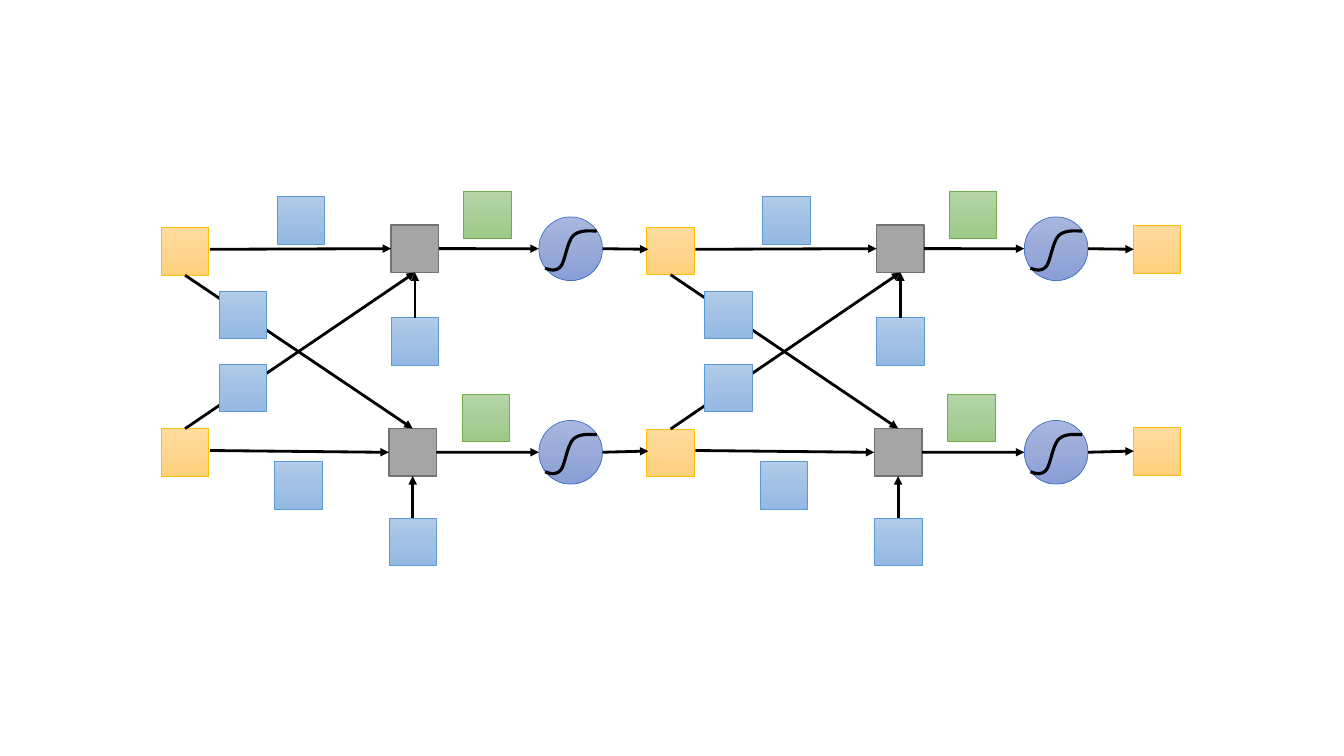
import copy
from dataclasses import dataclass

import lxml.etree
import pptx
import pptx.dml.color
import pptx.enum.shapes
import pptx.oxml
import pptx.oxml.ns
import pptx.util

Pt = pptx.util.Pt
RGBColor = pptx.dml.color.RGBColor
SHAPE = pptx.enum.shapes.MSO_SHAPE
STRAIGHT = pptx.enum.shapes.MSO_CONNECTOR.STRAIGHT
TOP, LEFT, BOTTOM, RIGHT = range(4)


@dataclass(frozen=True)
class Theme:
    """Colours as (fill stops, outline), and line widths in points."""
    value: tuple = (("FFDB9E", "FFD590", "FFD07C"), "FFC000")
    weight: tuple = (("B1CBE9", "A3C1E5", "93B9E4"), "5B9BD5")
    total: tuple = (("A5A5A5",), "767171")
    result: tuple = (("B5D5A7", "AACE9A", "9CC987"), "70AD47")
    activation: tuple = (("A8B7DF", "9AABD9", "889ED7"), "4472C4")
    ink: str = "000000"
    thin: float = 0.5
    solid: float = 1
    arrow: float = 2
    curve: float = 2.25


THEME = Theme()
NODE = 34
CIRCLE = 45.5
NETWORK_LEFT, NETWORK_TOP = 115.2, 136.2
LAYER_PITCH = 346.75
VALUE_COLUMNS = ((0, 26.4, 170), (0, 26, 170.3), (0.6, 24.9, 169.1))
VALUE_EXIT, VALUE_ENTRY = 34.8, 1.2
ROW_EXITS, ROW_ENTRIES = (41.9, 185.6), (41.9, 186)
TOTALS = ((164.2, 24.4), (162.6, 169.9))
RESULTS = ((216.1, 0.3), (214.9, 145.4))
CIRCLE_LEFT, CIRCLE_TOPS = 269.7, (18.7, 164.1)
BIAS_TOPS = (90.6, 233.9)
WEIGHTS = ((82.7, 4.2), (41.2, 71.8), (41.2, 123.9), (81.1, 193.5))
SIGMOID = (
    (41.4, 10.2), (35.3, 9.9), (28.8, 9.4), (24.5, 13.5), (20.2, 18),
    (18.7, 31.7), (15.8, 35.3), (12.2, 39.3), (8.6, 38.2), (4.5, 36.7),
)


def paint(shape, style):
    """Give a shape its flat or downward gradient fill and its outline."""
    stops, outline = style
    shape.shadow.inherit = False
    if len(stops) == 1:
        shape.fill.solid()
        shape.fill.fore_color.rgb = RGBColor.from_string(stops[0])
    else:
        shape.fill.gradient()
        shape.fill.gradient_angle = 270
        stop_list = shape._element.spPr.find(".//" + pptx.oxml.ns.qn("a:gsLst"))
        stop_list.insert(1, copy.deepcopy(stop_list[0]))
        for index, (stop, colour) in enumerate(zip(shape.fill.gradient_stops, stops)):
            stop.position = index / 2
            stop.color.rgb = RGBColor.from_string(colour)
    shape.line.color.rgb = RGBColor.from_string(outline)
    shape.line.width = Pt(THEME.solid if len(stops) == 1 else THEME.thin)


def add_node(slide, left, top, style):
    """Draw one square node."""
    shape = slide.shapes.add_shape(SHAPE.RECTANGLE, Pt(left), Pt(top), Pt(NODE), Pt(NODE))
    paint(shape, style)
    return shape


def side_point(shape, side):
    """Return the middle of one side of a shape."""
    across = {LEFT: 0, RIGHT: shape.width}.get(side, shape.width // 2)
    down = {TOP: 0, BOTTOM: shape.height}.get(side, shape.height // 2)
    return shape.left + across, shape.top + down


def add_arrow(slide, start, end):
    """Draw an arrow between two points."""
    arrow = slide.shapes.add_connector(STRAIGHT, *start, *end)
    arrow.line.color.rgb = RGBColor.from_string(THEME.ink)
    arrow.line.width = Pt(THEME.arrow)
    namespace = pptx.oxml.ns.nsdecls("a")
    arrow.line._get_or_add_ln().append(
        pptx.oxml.parse_xml(f'<a:tailEnd {namespace} type="triangle"/>'))
    arrow._element.spPr.append(pptx.oxml.parse_xml(f"<a:effectLst {namespace}/>"))
    return arrow


def join_nodes(slide, start, start_side, end, end_side):
    """Draw an arrow joined to the sides of two square nodes."""
    arrow = add_arrow(slide, side_point(start, start_side), side_point(end, end_side))
    arrow.begin_connect(start, start_side)
    arrow.end_connect(end, end_side)


def add_activation(slide, left, top):
    """Draw the activation circle with its sigmoid curve."""
    circle = slide.shapes.add_shape(SHAPE.OVAL, Pt(left), Pt(top), Pt(CIRCLE), Pt(CIRCLE))
    paint(circle, THEME.activation)
    points = [(Pt(left + x), Pt(top + y)) for x, y in SIGMOID]
    builder = slide.shapes.build_freeform(*points[0], scale=1.0)
    builder.add_line_segments(points[1:], close=False)
    curve = builder.convert_to_shape()
    outline = curve._element.spPr.find(".//" + pptx.oxml.ns.qn("a:path"))
    segments = outline.findall(pptx.oxml.ns.qn("a:lnTo"))
    for first in range(0, len(segments), 3):
        cubic = lxml.etree.SubElement(outline, pptx.oxml.ns.qn("a:cubicBezTo"))
        for segment in segments[first:first + 3]:
            cubic.append(segment[0])
            outline.remove(segment)
    curve.shadow.inherit = False
    curve.fill.background()
    curve.line.color.rgb = RGBColor.from_string(THEME.ink)
    curve.line.width = Pt(THEME.curve)
    return circle


def draw_values(slide, left, top, tops):
    """Draw a column of two values."""
    return [add_node(slide, left, top + offset, THEME.value) for offset in tops]


def draw_layer(slide, left, top, inputs, outputs):
    """Draw one fully connected layer between two columns of values."""
    totals = [add_node(slide, left + x, top + y, THEME.total) for x, y in TOTALS]
    circles = [add_activation(slide, left + CIRCLE_LEFT, top + y) for y in CIRCLE_TOPS]
    biases = [add_node(slide, left + x, top + y, THEME.weight)
              for (x, _), y in zip(TOTALS, BIAS_TOPS)]
    for total, bias, circle, leave, enter in zip(
            totals, biases, circles, ROW_EXITS, ROW_ENTRIES):
        value_exit = Pt(left + VALUE_EXIT), Pt(top + leave)
        value_entry = Pt(left + LAYER_PITCH + VALUE_ENTRY), Pt(top + enter)
        add_arrow(slide, value_exit, side_point(total, LEFT)).end_connect(total, LEFT)
        join_nodes(slide, bias, TOP, total, BOTTOM)
        add_arrow(slide, side_point(total, RIGHT),
                  side_point(circle, LEFT)).begin_connect(total, RIGHT)
        add_arrow(slide, side_point(circle, RIGHT), value_entry)
    join_nodes(slide, inputs[0], BOTTOM, totals[1], TOP)
    join_nodes(slide, inputs[1], TOP, totals[0], BOTTOM)
    for places, style in ((WEIGHTS, THEME.weight), (RESULTS, THEME.result)):
        for x, y in places:
            add_node(slide, left + x, top + y, style)


def draw_network(slide, left, top):
    """Draw the value columns and the layers that link them."""
    lefts = [left + index * LAYER_PITCH for index in range(len(VALUE_COLUMNS))]
    columns = [draw_values(slide, column_left + shift, top, tops)
               for column_left, (shift, *tops) in zip(lefts, VALUE_COLUMNS)]
    for layer_left, inputs, outputs in zip(lefts, columns, columns[1:]):
        draw_layer(slide, layer_left, top, inputs, outputs)


def main():
    """Build and save the presentation."""
    presentation = pptx.Presentation()
    presentation.slide_width, presentation.slide_height = Pt(960), Pt(540)
    slide = presentation.slides.add_slide(presentation.slide_layouts[6])
    draw_network(slide, NETWORK_LEFT, NETWORK_TOP)
    presentation.save("out.pptx")


if __name__ == "__main__":
    main()
